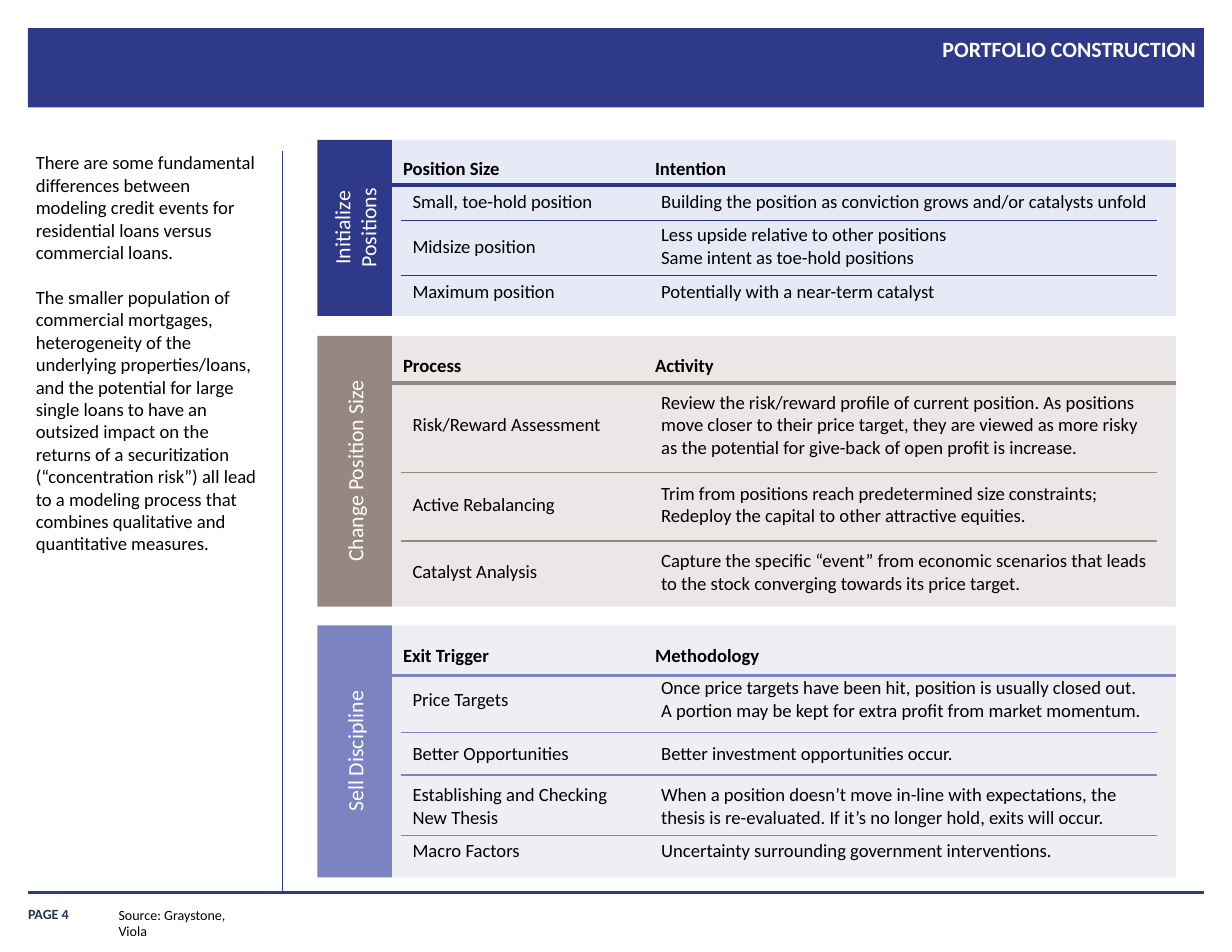
from dataclasses import dataclass

from lxml.etree import SubElement
from pptx import Presentation
from pptx.dml.color import RGBColor
from pptx.enum.shapes import MSO_CONNECTOR, MSO_SHAPE
from pptx.enum.text import MSO_ANCHOR as Anchor, MSO_AUTO_SIZE as AutoSize, PP_ALIGN as Align
from pptx.oxml.ns import qn
from pptx.util import Inches, Pt

COLORS = {
    "navy": "2E398A", "navy_rule": "2B3689", "navy_tint": "E7E9F7",
    "taupe": "968880", "taupe_tint": "EAE7E6",
    "violet": "7B83C1", "violet_tint": "EFEFF3",
    "page": "203353", "black": "000000", "white": "FFFFFF",
}
FONT = "Calibri"
COLUMNS, ROWS = 132, 102
MARGIN, RIGHT = 3, 129
TAB_LEFT, PANEL_LEFT, PANEL_RIGHT = 34, 42, 126
TABLE_LEFT, DIVIDER_RIGHT = 43, 124
HEADER_COLUMNS = (42, 69)
TABLE_COLUMNS = (26.64, 55.68)
NO_STYLE = "{2D5ABB26-0587-4C30-8999-92F81FD0307C}"


@dataclass
class Panel:
    label: str
    color: str
    rule_color: str
    tint: str
    top: float
    height: float
    header_top: float
    rule: float
    table_top: float
    dividers: tuple
    row_heights: tuple
    headers: tuple
    entries: tuple


PANELS = (
    Panel("Initialize Positions", "navy", "navy_rule", "navy_tint",
          15, 18.84, 16.2, 19.8, 19.8, (23.64, 29.52), (3.72, 5.88, 3.72),
          ("Position Size", "Intention"),
          (("Small, toe-hold position",
            "Building the position as conviction grows and/or catalysts unfold"),
           ("Midsize position",
            "Less upside relative to other positions\nSame intent as toe-hold positions"),
           ("Maximum position", "Potentially with a near-term catalyst"))),
    Panel("Change Position Size", "taupe", "taupe", "taupe_tint",
          36, 29, 37.32, 41.04, 41.04, (50.64, 57.96), (9.12, 7.92, 6.48),
          ("Process", "Activity"),
          (("Risk/Reward Assessment",
            "Review the risk/reward profile of current position. As positions move closer to "
            "their price target, they are viewed as more risky as the potential for give-back "
            "of open profit is increase."),
           ("Active Rebalancing",
            "Trim from positions reach predetermined size constraints;\n"
            "Redeploy the capital to other attractive equities."),
           ("Catalyst Analysis",
            "Capture the specific “event” from economic scenarios that leads to the stock "
            "converging towards its price target."))),
    Panel("Sell Discipline", "violet", "violet", "violet_tint",
          67, 27, 68.4, 72.36, 72.12, (78.48, 83.04, 89.52), (5.76, 5.76, 5.64, 3.84),
          ("Exit Trigger", "Methodology"),
          (("Price Targets",
            "Once price targets have been hit, position is usually closed out.\n"
            "A portion may be kept for extra profit from market momentum."),
           ("Better Opportunities", "Better investment opportunities occur."),
           ("Establishing and Checking\nNew Thesis",
            "When a position doesn’t move in-line with expectations, the thesis is "
            "re-evaluated. If it’s no longer hold, exits will occur."),
           ("Macro Factors", "Uncertainty surrounding government interventions."))),
)

COMMENTARY = (
    "There are some fundamental differences between modeling credit events for residential "
    "loans versus commercial loans.\n"
    "The smaller population of commercial mortgages, heterogeneity of the underlying "
    "properties/loans, and the potential for large single loans to have an outsized impact on "
    "the returns of a securitization (“concentration risk”) all lead to a modeling process "
    "that combines qualitative and quantitative measures."
)


def grid(units):
    return Inches(units / 12)


def rgb(name):
    return RGBColor.from_string(COLORS[name])


def write(frame, text, size=12, color="black", bold=False, align=Align.LEFT, gap=0):
    for index, line in enumerate(text.split("\n")):
        paragraph = frame.add_paragraph() if index else frame.paragraphs[0]
        paragraph.alignment = align
        if index and gap:
            paragraph.space_before = Pt(gap)
        run = paragraph.add_run()
        run.text = line
        run.font.name = FONT
        run.font.size = Pt(size)
        run.font.bold = bold
        run.font.color.rgb = rgb(color)


def clear_insets(frame):
    frame.margin_left = frame.margin_right = frame.margin_top = frame.margin_bottom = 0


def add_text(slide, text, left, top, width, height, inset=True, wrap=True,
             anchor=Anchor.TOP, **style):
    box = slide.shapes.add_textbox(grid(left), grid(top), grid(width), grid(height))
    frame = box.text_frame
    frame.word_wrap = wrap
    frame.vertical_anchor = anchor
    if not inset:
        clear_insets(frame)
    write(frame, text, **style)


def add_block(slide, left, top, width, height, color):
    block = slide.shapes.add_shape(
        MSO_SHAPE.RECTANGLE, grid(left), grid(top), grid(width), grid(height))
    block.shadow.inherit = False
    block.fill.solid()
    block.fill.fore_color.rgb = rgb(color)
    block.line.fill.background()
    return block


def add_rule(slide, x1, y1, x2, y2, color, weight):
    rule = slide.shapes.add_connector(
        MSO_CONNECTOR.STRAIGHT, grid(x1), grid(y1), grid(x2), grid(y2))
    rule.line.color.rgb = rgb(color)
    rule.line.width = Pt(weight)
    SubElement(rule._element.spPr, qn("a:effectLst"))


def add_entries(slide, panel):
    table = slide.shapes.add_table(
        len(panel.entries), len(TABLE_COLUMNS), grid(TABLE_LEFT), grid(panel.table_top),
        grid(sum(TABLE_COLUMNS)), grid(sum(panel.row_heights))).table
    table.first_row = table.horz_banding = False
    table._tbl.tblPr.find(qn("a:tableStyleId")).text = NO_STYLE
    for column, width in zip(table.columns, TABLE_COLUMNS):
        column.width = grid(width)
    for row, height, entry in zip(table.rows, panel.row_heights, panel.entries):
        row.height = grid(height)
        for cell, text in zip(row.cells, entry):
            cell.fill.background()
            cell.vertical_anchor = Anchor.MIDDLE
            cell.margin_top = cell.margin_bottom = Inches(0.02)
            write(cell.text_frame, text)


def add_panel(slide, panel):
    add_block(slide, PANEL_LEFT, panel.top, PANEL_RIGHT - PANEL_LEFT, panel.height, panel.tint)
    tab = add_block(slide, TAB_LEFT, panel.top, PANEL_LEFT - TAB_LEFT, panel.height, panel.color)
    frame = tab.text_frame
    frame.word_wrap = True
    frame.vertical_anchor = Anchor.MIDDLE
    frame._txBody.bodyPr.set("vert", "vert270")
    write(frame, panel.label, size=14, color="white", align=Align.CENTER)
    for left, header in zip(HEADER_COLUMNS, panel.headers):
        add_text(slide, header, left, panel.header_top, 27.5, 3.6, bold=True)
    add_entries(slide, panel)
    add_rule(slide, PANEL_LEFT, panel.rule, PANEL_RIGHT, panel.rule, panel.rule_color, 2.25)
    for y in panel.dividers:
        add_rule(slide, TABLE_LEFT, y, DIVIDER_RIGHT, y, panel.rule_color, 0.75)


def add_title(slide, text):
    title = slide.shapes.title
    title.left, title.top, title.width, title.height = map(grid, (38, 3.5, 90.16, 8))
    frame = title.text_frame
    frame.auto_size = AutoSize.NONE
    frame.vertical_anchor = Anchor.TOP
    clear_insets(frame)
    write(frame, text, size=14, color="white", bold=True, align=Align.RIGHT)
    frame.paragraphs[0].line_spacing = 1.1
    slide.shapes._spTree.append(title._element)


def main():
    deck = Presentation()
    deck.slide_width, deck.slide_height = grid(COLUMNS), grid(ROWS)
    slide = deck.slides.add_slide(deck.slide_layouts[5])
    add_block(slide, MARGIN, 3, RIGHT - MARGIN, 8.5, "navy")
    add_title(slide, "PORTFOLIO CONSTRUCTION")
    add_rule(slide, MARGIN, 95.64, RIGHT, 95.64, "navy", 2.25)
    add_rule(slide, 30.24, 16.2, 30.24, 95.64, "navy", 0.5)
    add_text(slide, COMMENTARY, 3.84, 16.2, 24.12, 77.76, inset=False, gap=14.6)
    for panel in PANELS:
        add_panel(slide, panel)
    add_text(slide, "PAGE 4", MARGIN, 96.12, 10.92, 2.76, inset=False,
             anchor=Anchor.BOTTOM, size=9, color="page", bold=True)
    add_text(slide, "Source: Graystone, Viola", 11.52, 96.48, 17.04, 3, wrap=False, size=9)
    deck.save("out.pptx")


if __name__ == "__main__":
    main()
